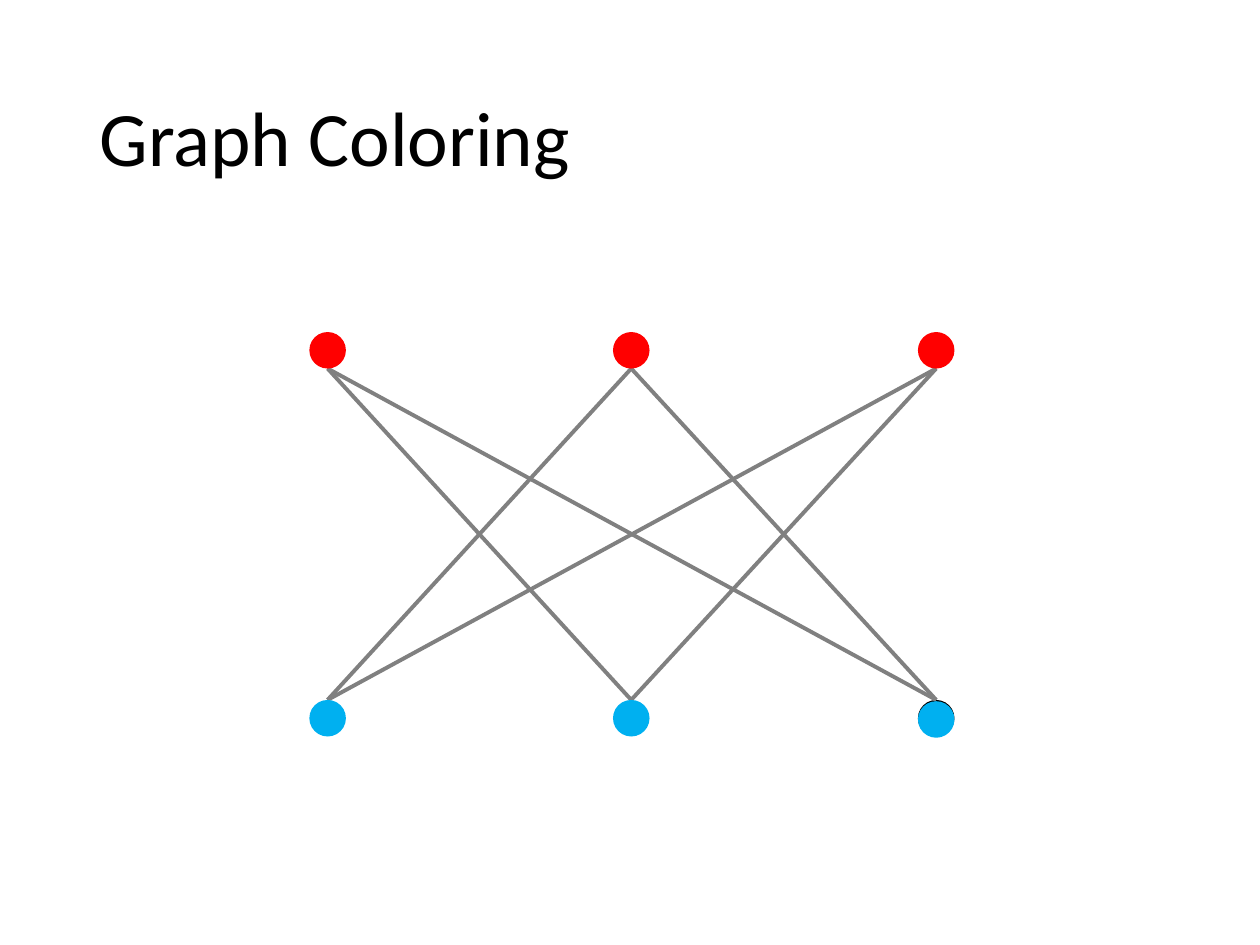
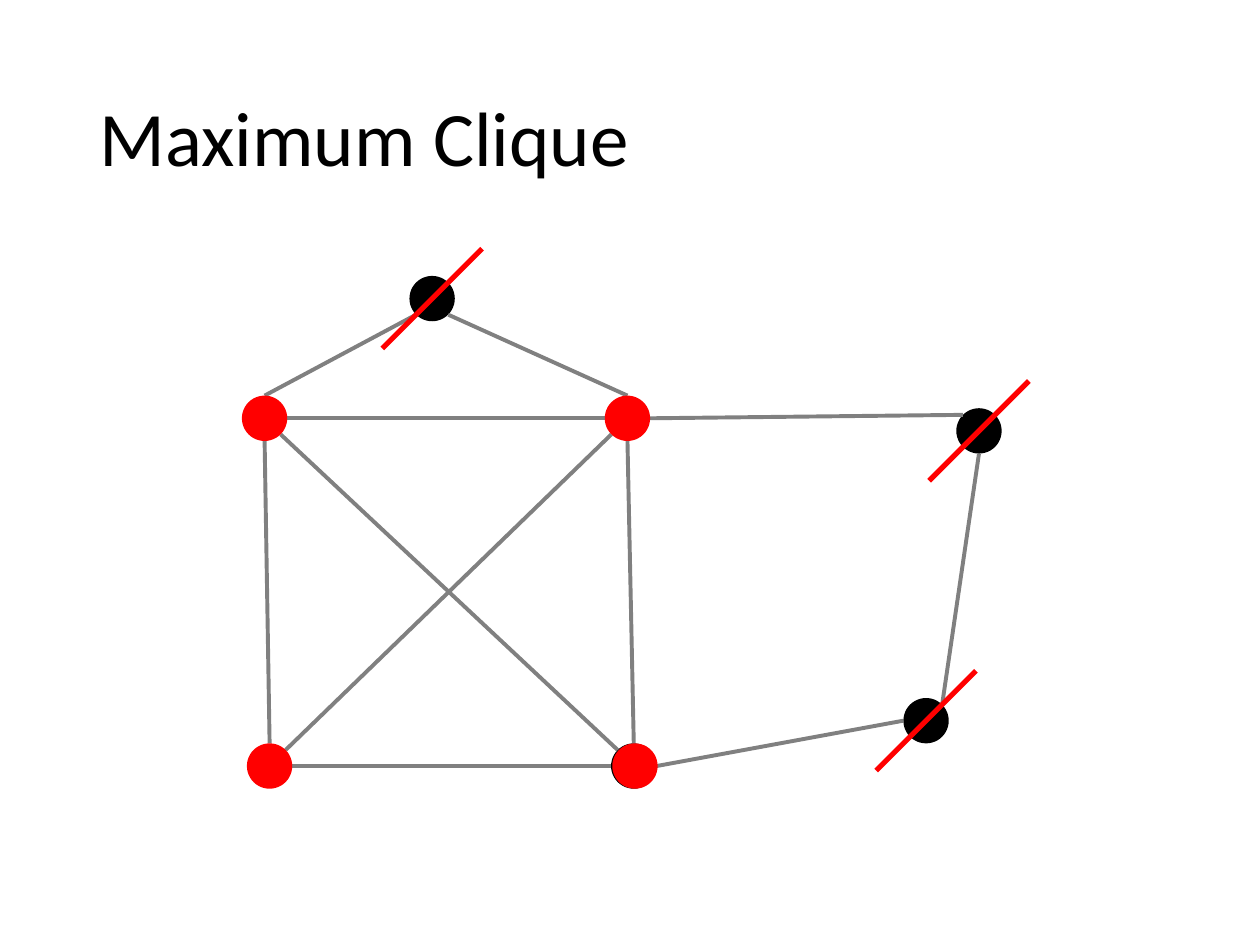
from math import sqrt

from lxml.etree import SubElement
from pptx import Presentation
from pptx.dml.color import RGBColor
from pptx.enum.shapes import MSO_CONNECTOR, MSO_SHAPE
from pptx.enum.text import MSO_ANCHOR, PP_ALIGN
from pptx.oxml.ns import qn
from pptx.util import Inches, Pt

BLACK = RGBColor(0x00, 0x00, 0x00)
GRAY = RGBColor(0x80, 0x80, 0x80)
RED = RGBColor(0xFF, 0x00, 0x00)
BLUE = RGBColor(0x00, 0xB0, 0xF0)

FONT = "Calibri"
DIAGONAL = 1 / sqrt(2)
SITES = {
    "N": (0, -1), "S": (0, 1), "W": (-1, 0), "E": (1, 0),
    "NW": (-DIAGONAL, -DIAGONAL), "NE": (DIAGONAL, -DIAGONAL),
    "SW": (-DIAGONAL, DIAGONAL), "SE": (DIAGONAL, DIAGONAL),
}

COLUMNS = [2.6, 5.01, 7.43]
TOP_ROW = [(x, 2.78) for x in COLUMNS]
BOTTOM_ROW = [(x, 5.7) for x in COLUMNS]

APEX, RIGHT_TOP, RIGHT_BOTTOM = (3.43, 2.37), (7.77, 3.42), (7.35, 5.72)
UPPER_LEFT, UPPER_RIGHT = (2.1, 3.32), (4.98, 3.32)
LOWER_LEFT, LOWER_RIGHT = (2.14, 6.08), (5.03, 6.08)
OUTSIDERS = [APEX, RIGHT_TOP, RIGHT_BOTTOM]

GRAPHS = [
    {
        "title": "Graph Coloring",
        "diameter": 0.29,
        "uncolored": [BOTTOM_ROW[2]],
        "edges": [
            (top, "S", bottom, "N")
            for i, top in enumerate(TOP_ROW)
            for j, bottom in enumerate(BOTTOM_ROW)
            if i != j
        ],
        "colored": [(RED, TOP_ROW), (BLUE, BOTTOM_ROW[:2] + [(7.43, 5.71)])],
        "struck": [],
    },
    {
        "title": "Maximum Clique",
        "diameter": 0.36,
        "uncolored": [LOWER_RIGHT] + OUTSIDERS,
        "edges": [
            (UPPER_LEFT, "S", LOWER_LEFT, "N"),
            (UPPER_LEFT, "E", UPPER_RIGHT, "W"),
            (UPPER_RIGHT, "S", LOWER_RIGHT, "N"),
            (LOWER_RIGHT, "W", LOWER_LEFT, "E"),
            (UPPER_LEFT, "SE", LOWER_RIGHT, "NW"),
            (UPPER_RIGHT, "SW", LOWER_LEFT, "NE"),
            (APEX, "SW", UPPER_LEFT, "N"),
            (APEX, "SE", UPPER_RIGHT, "N"),
            (RIGHT_TOP, "NW", UPPER_RIGHT, "E"),
            (RIGHT_BOTTOM, "W", LOWER_RIGHT, "E"),
            (RIGHT_TOP, "S", RIGHT_BOTTOM, "NE"),
        ],
        "colored": [(RED, [UPPER_LEFT, UPPER_RIGHT, LOWER_LEFT, (5.04, 6.08)])],
        "struck": OUTSIDERS,
    },
]
STRIKE_REACH = 0.56


def add_title(slide, wording):
    title = slide.shapes.title
    title.left, title.top = Inches(0.69), Inches(0.4)
    title.width, title.height = Inches(8.62), Inches(1.45)
    title.text_frame.text = wording
    title.text_frame.vertical_anchor = MSO_ANCHOR.MIDDLE
    paragraph = title.text_frame.paragraphs[0]
    paragraph.alignment = PP_ALIGN.LEFT
    paragraph.line_spacing = 0.9
    font = paragraph.runs[0].font
    font.name, font.size = FONT, Pt(44)
    font.color.rgb = BLACK


def add_vertex(slide, center, diameter, color):
    x, y = center
    vertex = slide.shapes.add_shape(
        MSO_SHAPE.OVAL, Inches(x - diameter / 2), Inches(y - diameter / 2),
        Inches(diameter), Inches(diameter))
    vertex.shadow.inherit = False
    vertex.fill.solid()
    vertex.fill.fore_color.rgb = color
    vertex.line.fill.background()


def site_point(center, site, reach):
    return [Inches(c + reach * step) for c, step in zip(center, SITES[site])]


def add_line(slide, start, end, color, weight):
    line = slide.shapes.add_connector(MSO_CONNECTOR.STRAIGHT, *start, *end)
    line.line.color.rgb = color
    line.line.width = Pt(weight)
    SubElement(line._element.spPr, qn("a:effectLst"))


def add_graph(slide, graph):
    diameter = graph["diameter"]
    radius = diameter / 2
    for center in graph["uncolored"]:
        add_vertex(slide, center, diameter, BLACK)
    for start, start_site, end, end_site in graph["edges"]:
        add_line(slide, site_point(start, start_site, radius),
                 site_point(end, end_site, radius), GRAY, 2.25)
    for color, centers in graph["colored"]:
        for center in centers:
            add_vertex(slide, center, diameter, color)
    for center in graph["struck"]:
        add_line(slide, site_point(center, "SW", STRIKE_REACH),
                 site_point(center, "NE", STRIKE_REACH), RED, 3)


def main():
    deck = Presentation()
    deck.slide_width, deck.slide_height = Inches(10), Inches(7.5)
    title_only = deck.slide_layouts[5]
    for graph in GRAPHS:
        slide = deck.slides.add_slide(title_only)
        add_title(slide, graph["title"])
        add_graph(slide, graph)
    deck.save("out.pptx")


if __name__ == "__main__":
    main()
